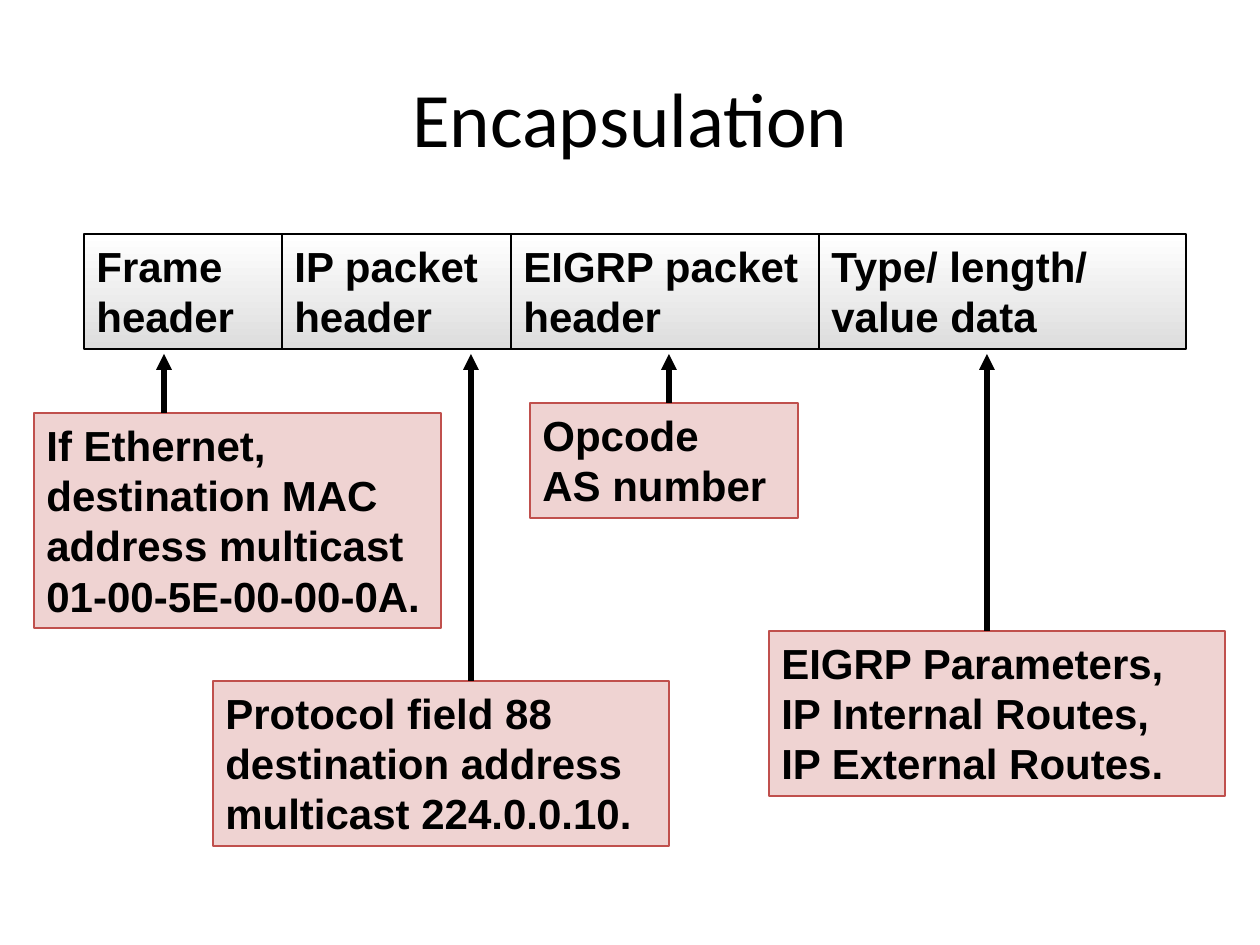
"""Build the slide that shows how a packet is encapsulated."""
from lxml.etree import SubElement
from pptx import Presentation
from pptx.dml.color import RGBColor as RGB
from pptx.enum.shapes import MSO_CONNECTOR as LINK, MSO_SHAPE as SHAPE
from pptx.enum.text import MSO_ANCHOR as ANCHOR, PP_ALIGN as ALIGN
from pptx.oxml.ns import qn
from pptx.util import Emu, Pt

BLACK = RGB(0x00, 0x00, 0x00)
WHITE = RGB(0xFF, 0xFF, 0xFF)
GREY = RGB(0xDD, 0xDD, 0xDD)
RED = RGB(0xC0, 0x50, 0x4D)


def px(*nums):
    return [Emu(round(n * 914400 / 126)) for n in nums]


def add_box(area, lines, edge):
    box = slide.shapes.add_shape(SHAPE.RECTANGLE, *px(*area))
    box.shadow.inherit = False
    box.line.color.rgb = edge
    box.line.width = Pt(0.75)
    frame = box.text_frame
    frame.word_wrap = True
    frame.vertical_anchor = ANCHOR.TOP
    para = frame.paragraphs[0]
    para.alignment = ALIGN.LEFT
    for i, line in enumerate(lines):
        if i:
            para.add_line_break()
        run = para.add_run()
        run.text = line
        run.font.name = "Arial"
        run.font.size = Pt(24)
        run.font.bold = True
        run.font.color.rgb = BLACK
    return box


deck = Presentation()
deck.slide_width, deck.slide_height = px(1260, 945)
slide = deck.slides.add_slide(deck.slide_layouts[6])

title = slide.shapes.add_textbox(*px(63, 38, 1134, 157)).text_frame
title.word_wrap = True
title.vertical_anchor = ANCHOR.MIDDLE
para = title.paragraphs[0]
para.alignment = ALIGN.CENTER
run = para.add_run()
run.text = "Encapsulation"
run.font.name = "Calibri"
run.font.size = Pt(44)
run.font.color.rgb = BLACK

fields = ["Frame header", "IP packet header", "EIGRP packet header",
          "Type/ length/ value data"]
edges = [84, 282, 511, 819, 1186]
for text, left, right in zip(fields, edges, edges[1:]):
    box = add_box((left, 234, right - left, 115), [text], BLACK)
    box.fill.gradient()
    box.fill.gradient_angle = 270
    for stop, color in zip(box.fill.gradient_stops, (WHITE, GREY)):
        stop.color.rgb = color

notes = [
    ((769, 631, 456, 165), 987,
     ["EIGRP Parameters, ", "IP Internal Routes,", "IP External Routes."]),
    ((530, 403, 268, 115), 669, ["Opcode", "AS number"]),
    ((213, 681, 456, 165), 471,
     ["Protocol field 88 ", "destination address multicast 224.0.0.10."]),
    ((34, 413, 407, 215), 164,
     ["If Ethernet, destination MAC address multicast ", "01-00-5E-00-00-0A."]),
]
for area, mid, lines in notes:
    box = add_box(area, lines, RED)
    box.fill.solid()
    box.fill.fore_color.rgb = RED
    tint = box.fill._xPr.find(".//" + qn("a:srgbClr"))
    SubElement(tint, qn("a:alpha"), val="25000")

for area, mid, lines in notes:
    arrow = slide.shapes.add_connector(LINK.STRAIGHT, *px(mid, area[1], mid, 354))
    arrow.line.color.rgb = BLACK
    arrow.line.width = Pt(3)
    SubElement(arrow.line._get_or_add_ln(), qn("a:tailEnd"), type="triangle")
    SubElement(arrow._element.spPr, qn("a:effectLst"))

deck.save("out.pptx")
